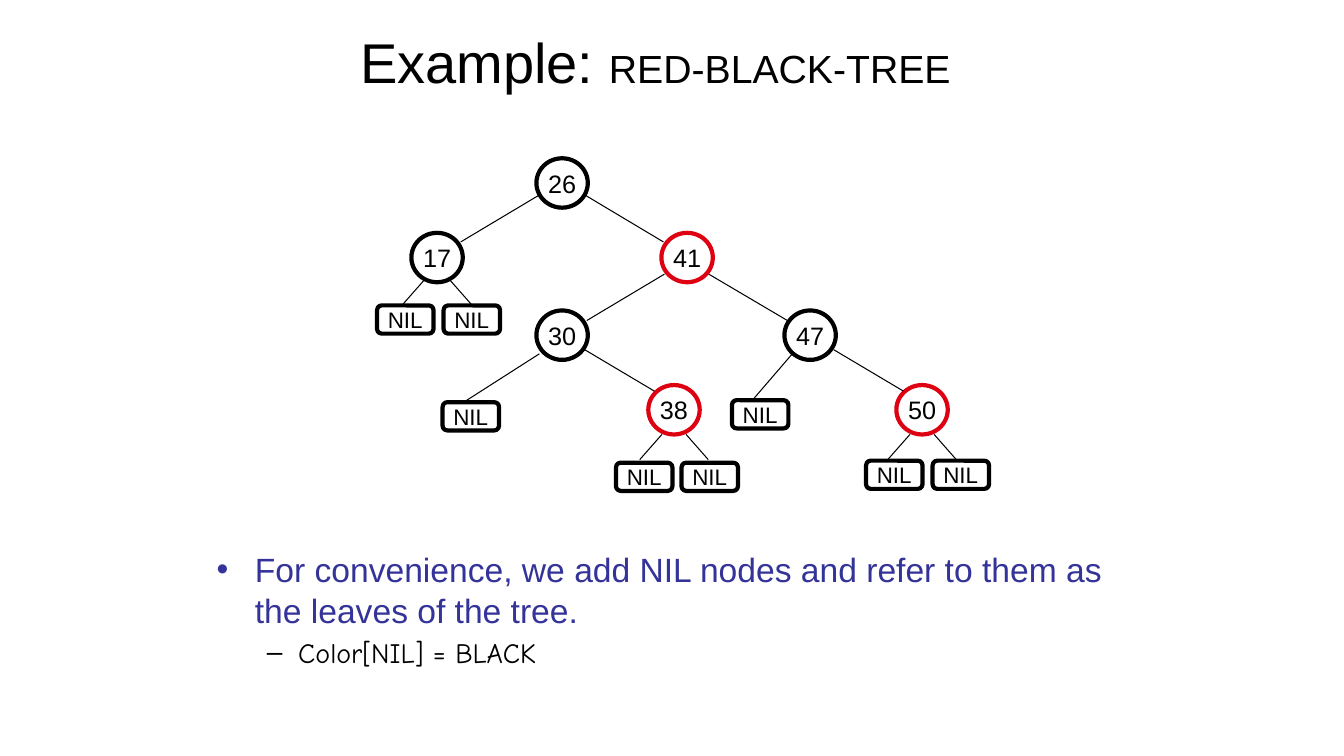
from lxml.etree import SubElement
from pptx import Presentation
from pptx.dml.color import RGBColor
from pptx.enum.shapes import MSO_CONNECTOR, MSO_SHAPE
from pptx.enum.text import MSO_ANCHOR, PP_ALIGN
from pptx.oxml.ns import qn
from pptx.util import Pt

# Content; lengths in px, 100 to the inch
SCALE = 9144
COLORS = {"black": "000000", "red": "DD0111", "blue": "333399"}
TITLE = [("Example: ", 40), ("RED-BLACK-TREE", 28)]
TITLE_BOX = (50, 11, 1200, 99)
BODY_BOX = (205, 540, 934, 124)
# text, bullet, size, font, color, left margin, hanging indent
BULLETS = [
    ("For convenience, we add NIL nodes and refer to them as the leaves of the tree.",
     "•", 24, "Arial", "blue", 38, 38),
    ("Color[NIL] = BLACK", "–", 20, "Comic Neue", "black", 81, 31),
]
NODE_SIZE = (51, 49)
NODES = {  # key: left, top, color
    26: (532, 157, "black"),
    17: (408, 231, "black"),
    41: (656, 231, "red"),
    30: (532, 308, "black"),
    47: (778, 308, "black"),
    38: (643, 382, "red"),
    50: (889, 382, "red"),
}
LEAF_SIZE = (56, 28)
LEAVES = [(374, 303), (440, 303), (439, 399), (611, 459),
          (676, 459), (859, 457), (925, 457), (726, 397)]
EDGES = [  # x1, y1, x2, y2
    (534, 194, 457, 240), (581, 194, 658, 240),
    (659, 272, 582, 318), (703, 272, 781, 318),
    (580, 347, 649, 388), (827, 347, 896, 388),
    (535, 351, 460, 399), (785, 352, 748, 395),
]
TWIN_LEAF_PARENTS = {17: 277, 38: 431, 50: 431}  # key: top of its two short edges
TWIN_START, TWIN_END, TWIN_DROP = 12, 34, 25


def px(*lengths):
    return [round(length * SCALE) for length in lengths]


def color(name):
    return RGBColor.from_string(COLORS[name])


def format_run(run, size, font="Arial", color_name="black"):
    run.font.size = Pt(size)
    run.font.name = font
    run.font.color.rgb = color(color_name)


def add_tree_shape(slide, preset, box, text, size, line_color):
    shape = slide.shapes.add_shape(preset, *px(*box))
    shape.shadow.inherit = False
    shape.fill.background()
    shape.line.color.rgb = color(line_color)
    shape.line.width = Pt(3)
    text_frame = shape.text_frame
    text_frame.text = text
    text_frame.word_wrap = False
    text_frame.vertical_anchor = MSO_ANCHOR.MIDDLE
    paragraph = text_frame.paragraphs[0]
    paragraph.alignment = PP_ALIGN.CENTER
    format_run(paragraph.runs[0], size)
    return shape


def add_edge(slide, ends):
    connector = slide.shapes.add_connector(MSO_CONNECTOR.STRAIGHT, *px(*ends))
    connector.line.color.rgb = color("black")
    connector.line.width = Pt(0.75)
    SubElement(connector._element.spPr, qn("a:effectLst"))


def add_title(slide):
    title = slide.shapes.title
    title.left, title.top, title.width, title.height = px(*TITLE_BOX)
    title.text_frame.vertical_anchor = MSO_ANCHOR.MIDDLE
    paragraph = title.text_frame.paragraphs[0]
    paragraph.alignment = PP_ALIGN.CENTER
    for text, size in TITLE:
        run = paragraph.add_run()
        run.text = text
        format_run(run, size)


def add_bullets(slide):
    text_frame = slide.shapes.add_textbox(*px(*BODY_BOX)).text_frame
    text_frame.word_wrap = True
    for index, (text, bullet, size, font, color_name, margin, hanging) in enumerate(BULLETS):
        paragraph = text_frame.add_paragraph() if index else text_frame.paragraphs[0]
        paragraph.text = text
        paragraph.level = index
        paragraph.space_before = Pt(size * 0.2 if index else 0)
        format_run(paragraph.runs[0], size, font, color_name)
        properties = paragraph._p.get_or_add_pPr()
        properties.set("marL", str(margin * SCALE))
        properties.set("indent", str(-hanging * SCALE))
        SubElement(properties, qn("a:buFont"), typeface="Arial")
        SubElement(properties, qn("a:buChar"), char=bullet)


def main():
    presentation = Presentation()
    presentation.slide_width, presentation.slide_height = px(1333, 750)
    slide = presentation.slides.add_slide(presentation.slide_layouts[5])
    add_title(slide)
    add_bullets(slide)

    # Tree nodes and NIL leaves
    for key, (left, top, line_color) in NODES.items():
        add_tree_shape(slide, MSO_SHAPE.OVAL, (left, top, *NODE_SIZE), str(key), 18, line_color)
    for corner in LEAVES:
        add_tree_shape(slide, MSO_SHAPE.ROUNDED_RECTANGLE, (*corner, *LEAF_SIZE),
                       "NIL", 16, "black")

    # Edges, then the mirrored pairs above twin leaves
    for ends in EDGES:
        add_edge(slide, ends)
    for key, top in TWIN_LEAF_PARENTS.items():
        center = NODES[key][0] + NODE_SIZE[0] / 2
        for side in (-1, 1):
            add_edge(slide, (center + side * TWIN_START, top,
                             center + side * TWIN_END, top + TWIN_DROP))

    presentation.save("out.pptx")


if __name__ == "__main__":
    main()
